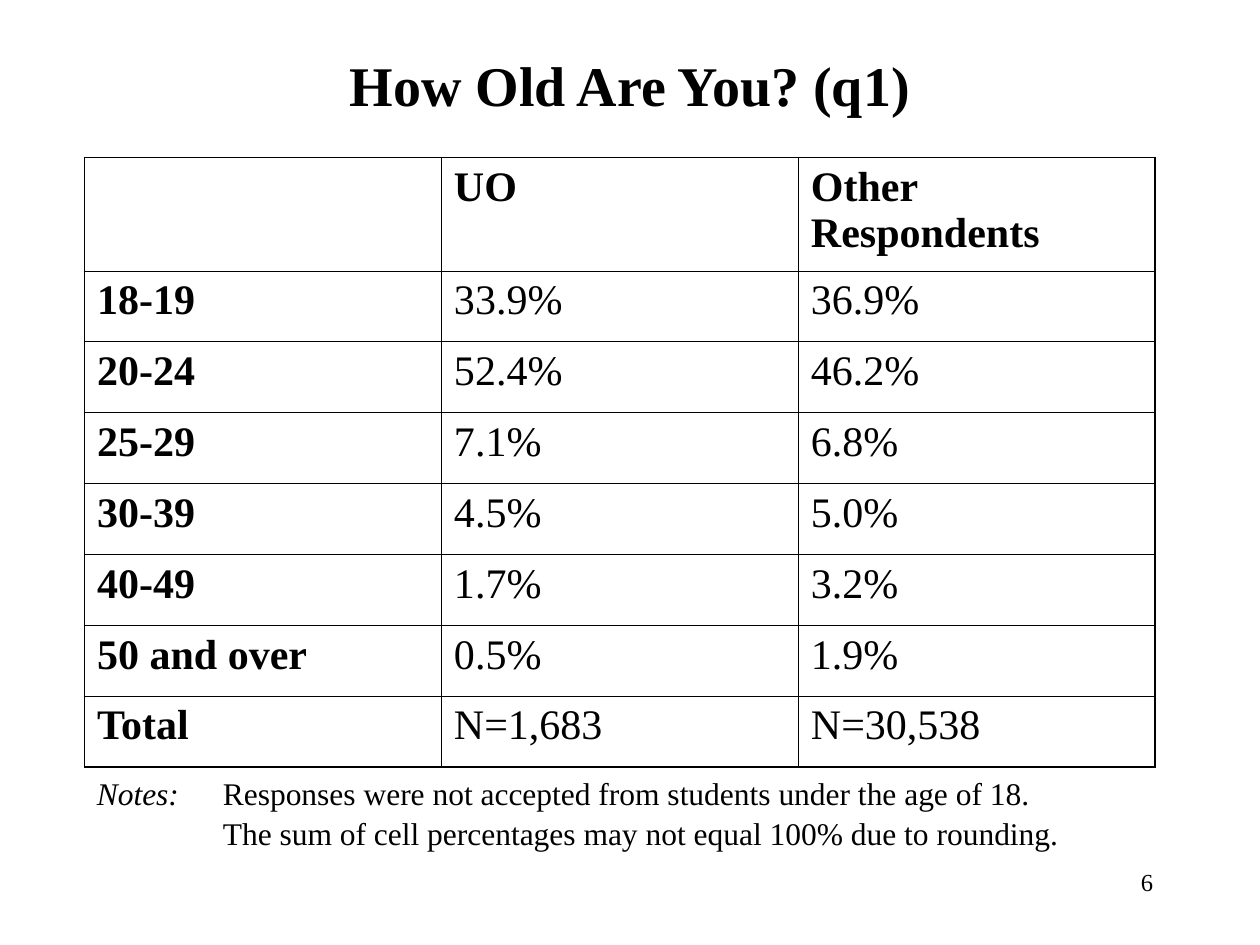
from lxml.etree import SubElement
from pptx import Presentation
from pptx.dml.color import RGBColor
from pptx.enum.text import MSO_ANCHOR as Anchor, PP_ALIGN as Align
from pptx.oxml.ns import qn
from pptx.util import Inches, Pt

COLORS = {"text": "000000", "border": "000000"}
FONT = "Times New Roman"


def add_span(para, text, size, bold=False, italic=False):
    span = para.add_run()
    span.text = text
    span.font.name = FONT
    span.font.size = Pt(size)
    span.font.bold = bold
    span.font.italic = italic
    span.font.color.rgb = RGBColor.from_string(COLORS["text"])


def add_box(left, top, width, height, anchor=Anchor.TOP, align=Align.LEFT):
    """Add a wrapping text box and return its first paragraph."""
    box = page.shapes.add_textbox(Inches(left), Inches(top), Inches(width), Inches(height))
    box.text_frame.word_wrap = True
    box.text_frame.vertical_anchor = anchor
    para = box.text_frame.paragraphs[0]
    para.alignment = align
    return para


deck = Presentation()
deck.slide_width, deck.slide_height = Inches(10), Inches(7.5)
page = deck.slides.add_slide(deck.slide_layouts[6])

# Page number and title
add_span(add_box(7.17, 6.83, 2.08, 0.5, align=Align.RIGHT), "6", 14)
title = add_box(0.75, 0.17, 8.5, 1, Anchor.MIDDLE, Align.CENTER)
add_span(title, "How Old Are You? (q1)", 32, bold=True)

# Age table: bold header row and first column, heavier outer frame
ages = [
    ("", "UO", "Other Respondents"),
    ("18-19", "33.9%", "36.9%"),
    ("20-24", "52.4%", "46.2%"),
    ("25-29", "7.1%", "6.8%"),
    ("30-39", "4.5%", "5.0%"),
    ("40-49", "1.7%", "3.2%"),
    ("50 and over", "0.5%", "1.9%"),
    ("Total", "N=1,683", "N=30,538"),
]
last_row, last_col = len(ages) - 1, len(ages[0]) - 1
header_height, table_height = 0.9, 4.84
table = page.shapes.add_table(
    len(ages), len(ages[0]), Inches(0.67), Inches(1.25), Inches(8.5), Inches(table_height)
).table
table.first_row = False
table.horz_banding = False

for r, values in enumerate(ages):
    body_height = (table_height - header_height) / last_row
    table.rows[r].height = Inches(body_height if r else header_height)
    for c, value in enumerate(values):
        cell = table.cell(r, c)
        if value:
            add_span(cell.text_frame.paragraphs[0], value, 24, bold=r == 0 or c == 0)
        outer_edges = {"lnL": c == 0, "lnR": c == last_col, "lnT": r == 0, "lnB": r == last_row}
        props = cell._tc.get_or_add_tcPr()
        for edge, is_outer in outer_edges.items():
            line = SubElement(props, qn(f"a:{edge}"), w=str(Pt(1.08 if is_outer else 0.45)))
            paint = SubElement(line, qn("a:solidFill"))
            SubElement(paint, qn("a:srgbClr"), val=COLORS["border"])
        cell.fill.background()

# Notes, with both sentences aligned on a one-inch tab
notes = add_box(0.67, 6.08, 8.85, 0.7)
tabs = SubElement(notes._p.get_or_add_pPr(), qn("a:tabLst"))
SubElement(tabs, qn("a:tab"), pos=str(Inches(1)), algn="l")
notes.line_spacing = 1.05
add_span(notes, "Notes:\t", 18, italic=True)
add_span(notes, "Responses were not accepted from students under the age of 18.", 18)
notes.add_line_break()
add_span(notes, "\tThe sum of cell percentages may not equal 100% due to rounding.", 18)

deck.save("out.pptx")
